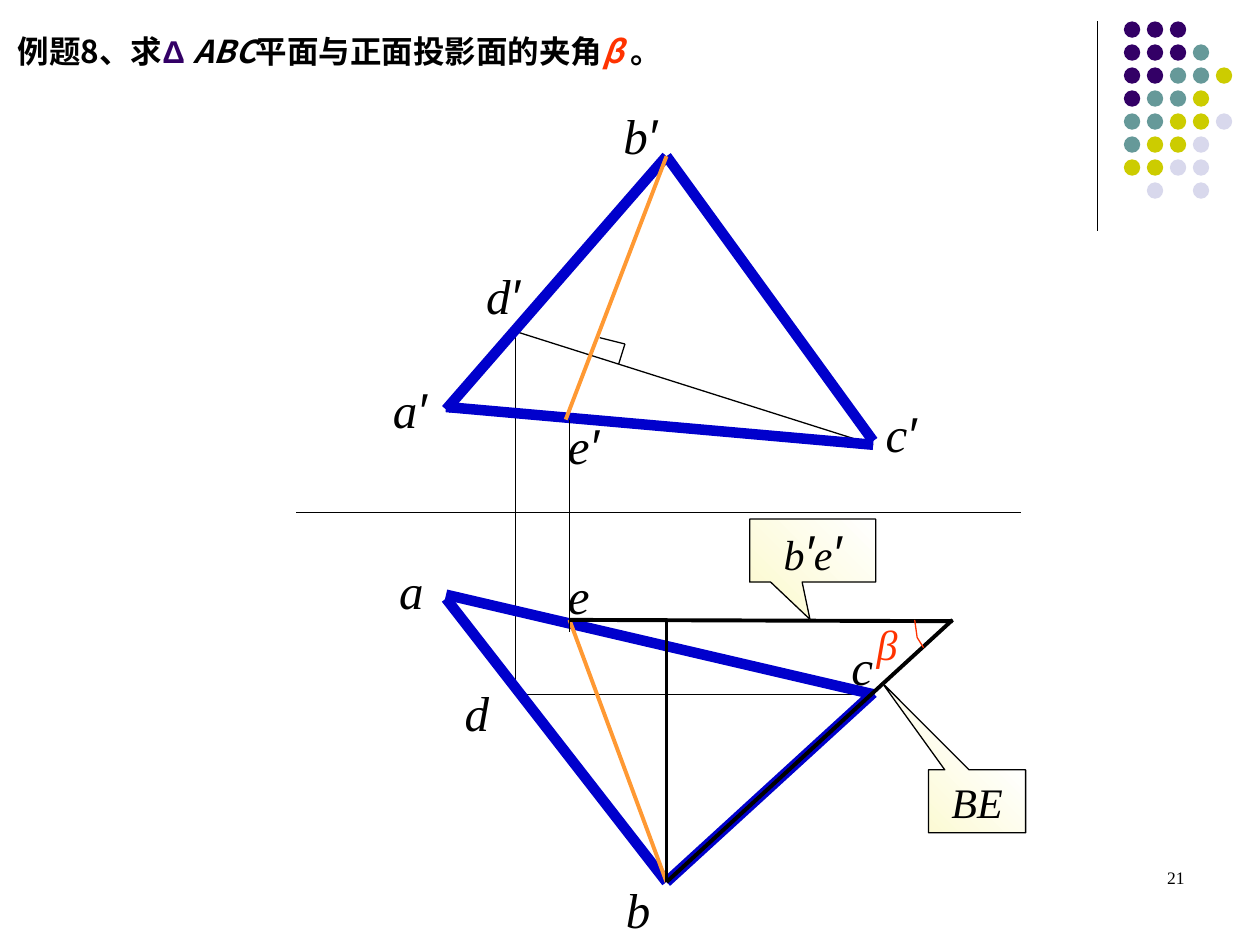
from lxml import etree
from pptx import Presentation
from pptx.dml.color import RGBColor
from pptx.enum.shapes import MSO_CONNECTOR, MSO_SHAPE
from pptx.enum.text import MSO_ANCHOR, PP_ALIGN
from pptx.oxml.ns import qn
from pptx.util import Inches, Pt

STRAIGHT = MSO_CONNECTOR.STRAIGHT
OVAL = MSO_SHAPE.OVAL
CALLOUT = MSO_SHAPE.RECTANGULAR_CALLOUT
TOP, MIDDLE = MSO_ANCHOR.TOP, MSO_ANCHOR.MIDDLE
LEFT, CENTER, RIGHT = PP_ALIGN.LEFT, PP_ALIGN.CENTER, PP_ALIGN.RIGHT

SERIF, SANS, CJK = "Times New Roman", "Arial", "Noto Sans CJK SC"
BLACK, BLUE, ORANGE, RED = "000000", "0000CC", "FF9933", "FF3300"
PURPLE, TEAL, OLIVE, PALE = "330066", "669999", "CCCC00", "D8D8EC"
THIN, MEDIUM, THICK = 0.75, 2.25, 6


def color(hex_string):
    return RGBColor.from_string(hex_string)


def add_run(paragraph, text, size, font_name, hex_string=BLACK, bold=False, italic=True):
    run = paragraph.add_run()
    run.text = text
    font = run.font
    font.size, font.name = Pt(size), font_name
    font.bold, font.italic = bold, italic
    font.color.rgb = color(hex_string)
    east_asian = etree.SubElement(run._r.get_or_add_rPr(), qn("a:ea"))
    east_asian.set("typeface", font_name)


presentation = Presentation()
presentation.slide_width, presentation.slide_height = Inches(10), Inches(7.5)
slide = presentation.slides.add_slide(presentation.slide_layouts[5])
shapes = slide.shapes

# Title
title = shapes.title
title.left, title.top = Inches(0.04), Inches(0.2)
title.width, title.height = Inches(5.74), Inches(0.4)
title.text_frame.word_wrap = False
title.text_frame.vertical_anchor = TOP
paragraph = title.text_frame.paragraphs[0]
paragraph.alignment = LEFT
for text, font_name, hex_string, italic in [
    ("例题8、求", CJK, BLACK, False),
    ("Δ ", SANS, PURPLE, False),
    ("ABC", CJK, BLACK, True),
    ("平面与正面投影面的夹角", CJK, BLACK, False),
    ("β ", CJK, RED, True),
    ("。", CJK, BLACK, False),
]:
    add_run(paragraph, text, 18, font_name, hex_string, True, italic)

# Corner dots, one letter per colour
dot_colors = {"P": PURPLE, "T": TEAL, "O": OLIVE, "L": PALE}
dot_rows = ["PPP", "PPPT", "PPTTO", "PTTO", "TTOOL", "TOOL", "OOLL", " L L"]
dot_pitch = 0.73 / 4
for row, letters in enumerate(dot_rows):
    for column, letter in enumerate(letters):
        if letter == " ":
            continue
        dot = shapes.add_shape(OVAL, Inches(8.92 + column * dot_pitch),
                               Inches(0.17 + row * dot_pitch), Inches(0.13), Inches(0.13))
        dot.shadow.inherit = False
        dot.fill.solid()
        dot.fill.fore_color.rgb = color(dot_colors[letter])
        dot.line.fill.background()

# Projected points, named as on the drawing (2 marks the front view)
a, b, c = (3.54, 4.72), (5.29, 7), (6.93, 5.51)
a2, b2, c2 = (3.54, 3.23), (5.29, 1.24), (6.93, 3.53)
d, d2, e, e2 = (4.09, 5.51), (4.09, 2.63), (4.52, 4.92), (4.49, 3.33)
apex = (7.56, 4.92)
square_corner = (4.96, 2.73)

# Lines, from back to front
for start, end, hex_string, width in [
    ((8.71, 0.17), (8.71, 1.83), BLACK, THIN),
    (d2, c2, BLACK, THIN),
    (c, d, BLACK, THIN),
    (d, d2, BLACK, THIN),
    ((8.1, 4.07), (2.35, 4.07), BLACK, THIN),
    ((3.54, 4.75), b, BLUE, THICK),
    (b, (6.93, 5.5), BLUE, THICK),
    (b2, (6.93, 3.5), BLUE, THICK),
    ((3.54, 3.25), b2, BLUE, THICK),
    (a, c, BLUE, THICK),
    (a2, c2, BLUE, THICK),
    (e, b, ORANGE, MEDIUM),
    ((4.91, 2.89), square_corner, BLACK, THIN),
    (square_corner, (4.76, 2.68), BLACK, THIN),
    (b2, e2, ORANGE, MEDIUM),
    (e, (7.56, 4.93), BLACK, MEDIUM),
    (b, (5.29, 4.92), BLACK, MEDIUM),
    (apex, b, BLACK, MEDIUM),
    ((4.52, 3.33), (4.52, 5.02), BLACK, THIN),
]:
    line = shapes.add_connector(STRAIGHT, *[Inches(value) for value in start + end])
    line.line.color.rgb = color(hex_string)
    line.line.width = Pt(width)
    etree.SubElement(line._element.spPr, qn("a:effectLst"))

# Angle mark
builder = shapes.build_freeform(Inches(7.33), Inches(5.14))
builder.add_line_segments([(Inches(7.28), Inches(5.06)), (Inches(7.26), Inches(4.92))], close=False)
angle_mark = builder.convert_to_shape()
angle_mark.shadow.inherit = False
angle_mark.fill.background()
angle_mark.line.color.rgb = color(RED)
angle_mark.line.width = Pt(THIN)

# Callouts for the two true lengths
for left, top, width, tip, runs in [
    (5.95, 4.12, 1, (-0.021, 1.092),
     [("b", 24, SERIF), ("′", 28, SANS), ("e", 24, SERIF), ("′", 28, SANS)]),
    (7.37, 6.11, 0.77, (-0.981, -1.885), [("BE", 24, SERIF)]),
]:
    callout = shapes.add_shape(CALLOUT, Inches(left), Inches(top), Inches(width), Inches(0.5))
    callout.adjustments[0], callout.adjustments[1] = tip
    callout.shadow.inherit = False
    callout.fill.gradient()
    callout.fill.gradient_angle = 225
    for stop, hex_string in zip(callout.fill.gradient_stops, ("FFFFFF", "FCFAD4")):
        stop.color.rgb = color(hex_string)
    callout.line.color.rgb = color(BLACK)
    callout.line.width = Pt(THIN)
    callout.text_frame.word_wrap = False
    callout.text_frame.vertical_anchor = MIDDLE
    paragraph = callout.text_frame.paragraphs[0]
    paragraph.alignment = CENTER
    for text, size, font_name in runs:
        add_run(paragraph, text, size, font_name)

# Point labels
for letter, prime, left, top in [
    ("d", "", 3.59, 5.37), ("d", "′", 3.76, 2.06),
    ("a", "", 3.07, 4.4), ("b", "", 4.87, 6.93), ("c", "", 6.66, 5),
    ("a", "′", 3.02, 2.96), ("b", "′", 4.85, 0.79), ("c", "′", 6.93, 3.15),
    ("e", "′", 4.41, 3.25), ("e", "", 4.41, 4.44),
]:
    label = shapes.add_textbox(Inches(left), Inches(top), Inches(0.77), Inches(0.57))
    label.text_frame.word_wrap = True
    paragraph = label.text_frame.paragraphs[0]
    add_run(paragraph, letter, 28, SERIF)
    if prime:
        add_run(paragraph, prime, 28, SANS)

# Angle label
angle_label = shapes.add_textbox(Inches(6.86), Inches(4.86), Inches(0.66), Inches(0.5))
angle_label.text_frame.word_wrap = True
add_run(angle_label.text_frame.paragraphs[0], "β", 24, SERIF, RED)

# Slide number
number = shapes.add_textbox(Inches(7.17), Inches(6.83), Inches(2.33), Inches(0.5))
number.text_frame.word_wrap = True
paragraph = number.text_frame.paragraphs[0]
paragraph.alignment = RIGHT
add_run(paragraph, "21", 10, SERIF, italic=False)

presentation.save("out.pptx")
